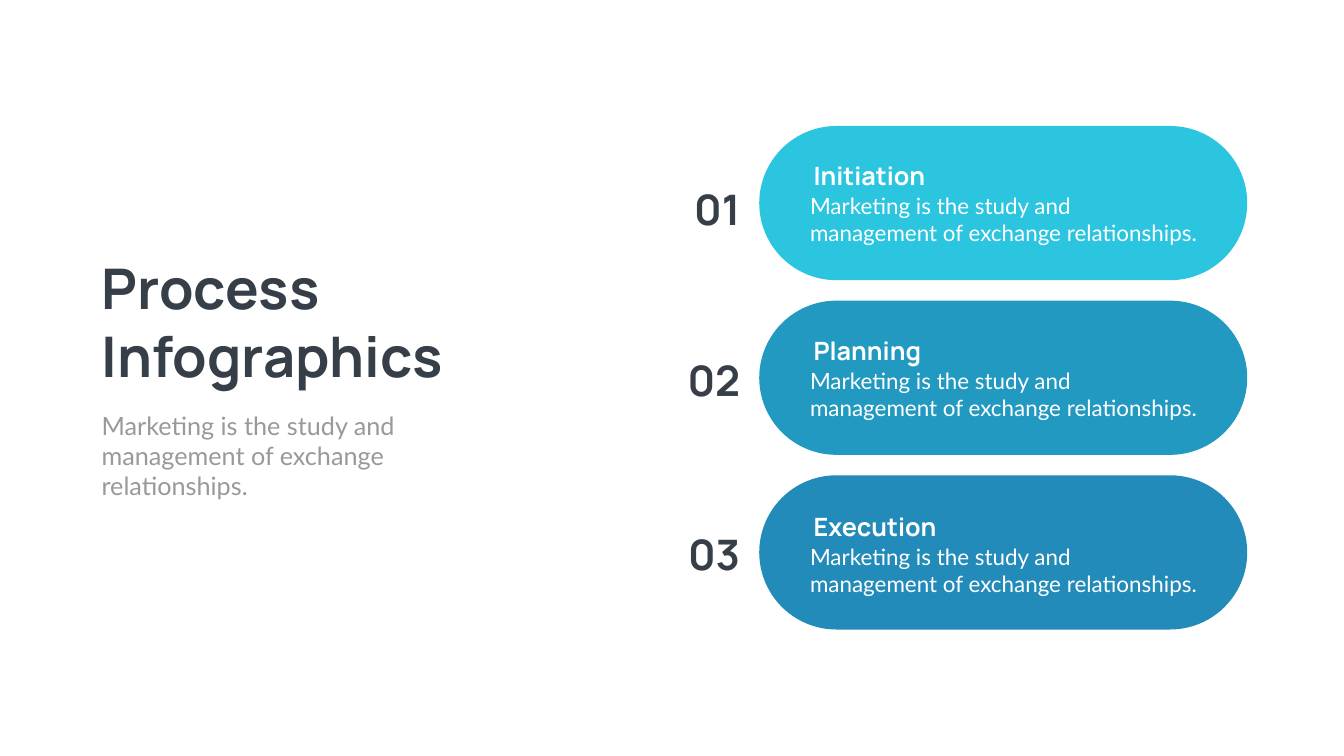
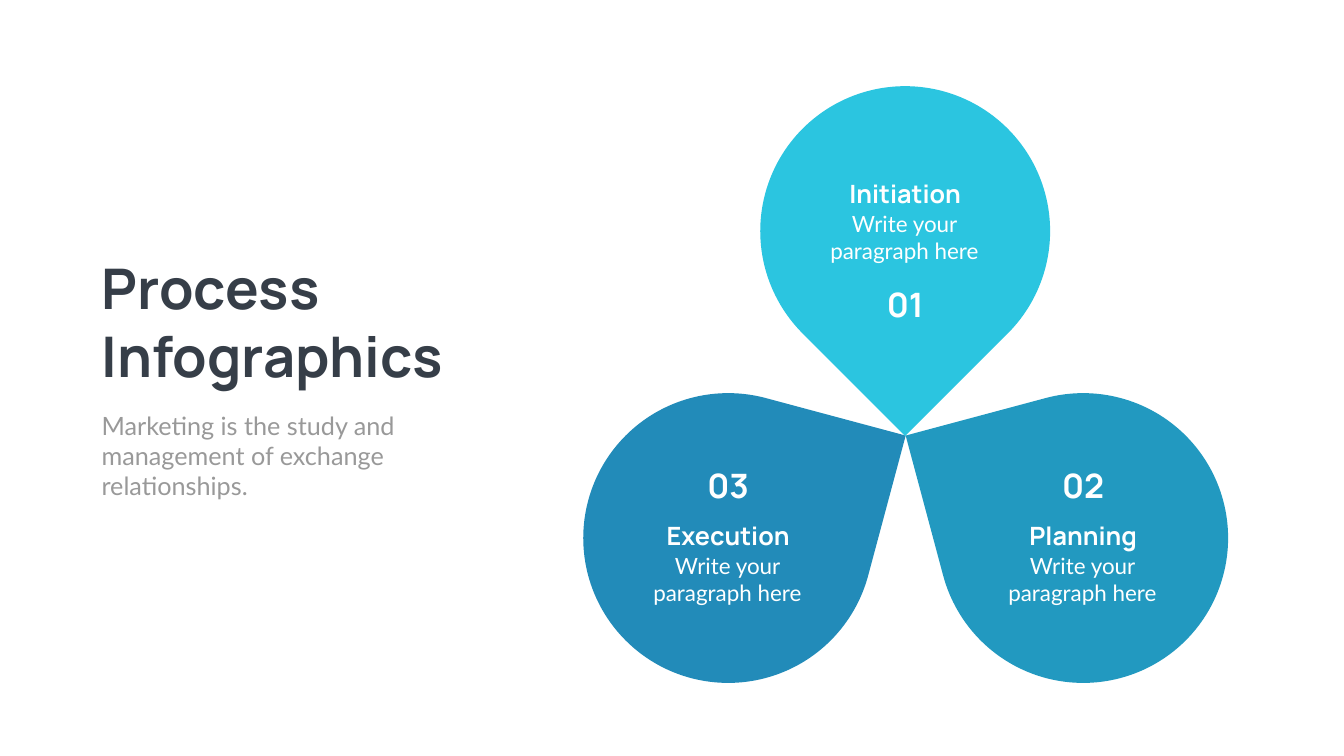
"""Build two slides showing a three-step process as pills and as petals."""
import pptx
import pptx.util
import pptx.dml.color
import pptx.enum.shapes
import pptx.enum.text

Pt = pptx.util.Pt
RGB = pptx.dml.color.RGBColor
Kind = pptx.enum.shapes.MSO_SHAPE
Align = pptx.enum.text.PP_ALIGN
Fit = pptx.enum.text.MSO_AUTO_SIZE
Anchor = pptx.enum.text.MSO_ANCHOR

DARK = RGB(0x36, 0x3E, 0x48)
GREY = RGB(0x99, 0x99, 0x99)
WHITE = RGB(0xFF, 0xFF, 0xFF)
CYAN = RGB(0x2B, 0xC5, 0xE0)
TEAL = RGB(0x22, 0x99, 0xC0)
BLUE = RGB(0x22, 0x8B, 0xB9)

HEAD = "Manrope"
BODY = "Lato"
BLURB = "Marketing is the study and management of exchange relationships."
HINT = "Write your paragraph here"
STEPS = [("01", "Initiation", CYAN), ("02", "Planning", TEAL),
         ("03", "Execution", BLUE)]


class Deck:
    def __init__(self):
        self.file = pptx.Presentation()
        self.file.slide_width = Pt(1919.52)
        self.file.slide_height = Pt(1080)
        self.slide = None

    def start(self, title, intro):
        layout = self.file.slide_layouts.get_by_name("Title Only")
        self.slide = self.file.slides.add_slide(layout)
        self.slide.background.fill.solid()
        self.slide.background.fill.fore_color.rgb = WHITE
        box = self.slide.shapes.title
        box.left, box.top, box.width, box.height = map(Pt, (138, 359, 620, 201))
        self.fill(box, title, HEAD, 80, DARK)
        self.text(138, 582.5, 438, 138, intro, BODY, 36, GREY)

    def fill(self, box, lines, font, size, color, align=Align.LEFT):
        frame = box.text_frame
        frame.word_wrap = True
        frame.auto_size = Fit.NONE
        frame.vertical_anchor = Anchor.TOP
        for i, line in enumerate(lines):
            para = frame.add_paragraph() if i else frame.paragraphs[0]
            para.alignment = align
            para.space_before = Pt(0)
            run = para.add_run()
            run.text = line
            run.font.name = font
            run.font.size = Pt(size)
            run.font.bold = font == HEAD
            run.font.color.rgb = color

    def text(self, x, y, w, h, line, font, size, color, align=Align.LEFT):
        box = self.slide.shapes.add_textbox(Pt(x), Pt(y), Pt(w), Pt(h))
        self.fill(box, [line], font, size, color, align)

    def shape(self, kind, x, y, w, h, color):
        form = self.slide.shapes.add_shape(kind, Pt(x), Pt(y), Pt(w), Pt(h))
        form.shadow.inherit = False
        form.fill.solid()
        form.fill.fore_color.rgb = color
        form.line.fill.background()
        return form

    def pill(self, y, color):
        form = self.shape(Kind.ROUNDED_RECTANGLE, 1084.3, y, 697, 220.3, color)
        form.adjustments[0] = 0.5

    def petal(self, mid, y, turn, color):
        size = 414
        form = self.shape(Kind.TEAR, mid - size / 2, y, size, size, color)
        form.rotation = turn

    def label(self, mid, y, w, h, line, font, size):
        self.text(mid - w / 2, y, w, h, line, font, size, WHITE, Align.CENTER)


def pills(deck):
    for i, (num, name, color) in enumerate(STEPS):
        deck.pill(180 + 249.5 * i, color)
    tops = [(259.2, 225.4), (502.6, 475.2), (751.7, 727.2)]
    for (num, name, color), (high, top) in zip(STEPS, tops):
        deck.text(1154.9, top, 518, 51, name, HEAD, 36, WHITE)
        deck.text(1149.8, top + 45.4, 571, 85, BLURB, BODY, 32, WHITE)
        deck.text(928.8, high, 135.4, 80, num, HEAD, 60, DARK, Align.RIGHT)


def petals(deck):
    spots = [(1292.8, 123.1, 401.8, 251.3), (1547, 561.6, 661, 740.2),
             (1040, 561.6, 661, 740.2)]
    steps = list(zip(STEPS, spots))
    for i, (step, spot) in enumerate([steps[2], steps[0], steps[1]]):
        deck.petal(spot[0], spot[1], 15 + 120 * i, step[2])
    for (num, name, color), (mid, y, high, top) in steps:
        deck.label(mid, high, 135.4, 65.5, num, HEAD, 48)
        deck.label(mid, top, 242, 51, name, HEAD, 36)
        deck.label(mid - 1, top + 45.4, 244, 85, HINT, BODY, 32)


def main():
    deck = Deck()
    for draw in (pills, petals):
        deck.start(["Process", "Infographics"], BLURB)
        draw(deck)
    deck.file.save("out.pptx")


if __name__ == "__main__":
    main()
